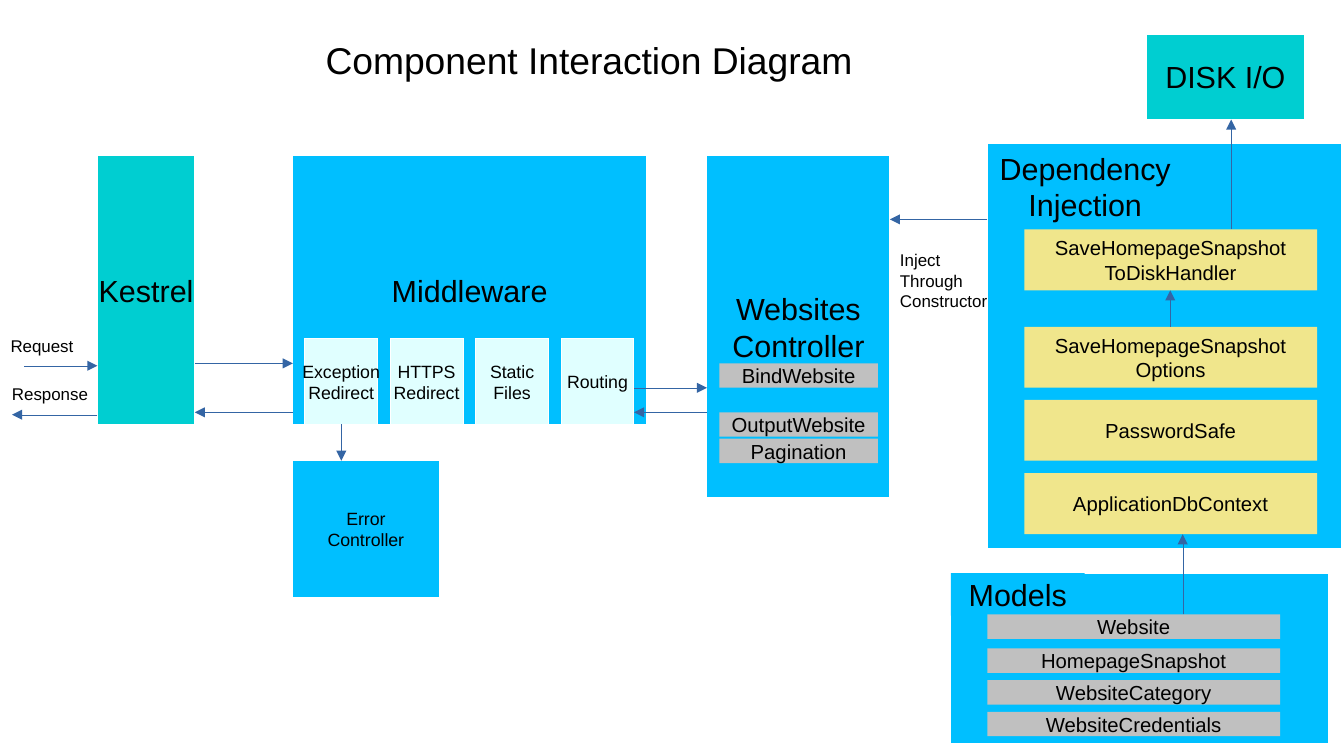
from dataclasses import dataclass

from lxml import etree
from pptx import Presentation
from pptx.dml.color import RGBColor
from pptx.enum.shapes import MSO_CONNECTOR, MSO_SHAPE
from pptx.enum.text import MSO_ANCHOR, MSO_AUTO_SIZE, PP_ALIGN
from pptx.oxml.ns import qn
from pptx.util import Cm, Pt

RECTANGLE = MSO_SHAPE.RECTANGLE
STRAIGHT = MSO_CONNECTOR.STRAIGHT
LEFT, CENTER = PP_ALIGN.LEFT, PP_ALIGN.CENTER
TOP, MIDDLE = MSO_ANCHOR.TOP, MSO_ANCHOR.MIDDLE
NO_FIT = MSO_AUTO_SIZE.NONE
TITLE_ONLY = 5


@dataclass(frozen=True)
class Theme:
    font: str = "Arial"
    text: str = "000000"
    outline: str = "FFFFFF"
    arrow: str = "3465A4"
    outside: str = "00CED1"
    component: str = "00BFFF"
    stage: str = "E0FFFF"
    service: str = "F0E68C"
    member: str = "C0C0C0"
    title_size: float = 22
    heading_size: float = 18
    item_size: float = 12
    stage_size: float = 10.5
    label_size: float = 10
    hairline: float = 0.01  # python-pptx drops a width of 0


THEME = Theme()

# Lengths are in centimetres; a box is (left, top, width, height).
SLIDE_SIZE = (28, 15.75)
TITLE = ("Component Interaction Diagram", (6.53, 0.64, 11.51, 1.12))

# Text, box, fill, type size
COMPONENTS = [
    ("Kestrel", (2.03, 3.25, 2.03, 5.59), THEME.outside, THEME.heading_size),
    ("Middleware", (6.1, 3.25, 7.37, 5.59), THEME.component, THEME.heading_size),
    ("Websites\nController", (14.73, 3.25, 3.81, 7.11), THEME.component, THEME.heading_size),
    ("Error\nController", (6.1, 9.6, 3.05, 2.84), THEME.component, THEME.stage_size),
    ("DISK I/O", (23.88, 0.71, 3.3, 1.78), THEME.outside, THEME.heading_size),
    ("", (20.57, 3, 7.37, 8.43), THEME.component, THEME.heading_size),
    ("", (19.81, 11.94, 7.87, 3.56), THEME.component, THEME.heading_size),
]
PANEL_HEADINGS = [
    ("Dependency\nInjection", (20.83, 3.25, 3.56, 1.27)),
    ("Models", (19.81, 11.94, 2.79, 0.89)),
]

STAGES = ["Exception\nRedirect", "HTTPS\nRedirect", "Static\nFiles", "Routing"]
STAGE_BOX, STAGE_PITCH = (6.35, 7.06, 1.52, 1.78), 1.78

# Left, width, height, fill, then each text with its top
STACKS = [
    (14.99, 3.3, 0.51, THEME.member, [
        ("BindWebsite", 7.57),
        ("OutputWebsite", 8.59),
        ("Pagination", 9.14),
    ]),
    (21.34, 6.1, 1.27, THEME.service, [
        ("SaveHomepageSnapshot\nToDiskHandler", 4.78),
        ("SaveHomepageSnapshot\nOptions", 6.81),
        ("PasswordSafe", 8.33),
        ("ApplicationDbContext", 9.86),
    ]),
    (20.57, 6.1, 0.51, THEME.member, [
        ("Website", 12.8),
        ("HomepageSnapshot", 13.51),
        ("WebsiteCategory", 14.17),
        ("WebsiteCredentials", 14.83),
    ]),
]

LABELS = [
    ("Request", (-0.03, 6.86, 1.9, 0.64)),
    ("Response", (0, 7.87, 2.15, 0.64)),
    ("Inject\nThrough\nConstructor", (18.5, 5.08, 2.4, 1.42)),
]

# From x, from y, to x, to y
ARROWS = [
    (0.51, 7.62, 2.03, 7.62),
    (2.03, 8.64, 0.25, 8.64),
    (4.06, 7.57, 6.1, 7.57),
    (6.1, 8.59, 4.06, 8.59),
    (7.11, 8.84, 7.11, 9.6),
    (13.21, 8.08, 14.73, 8.08),
    (14.73, 8.59, 13.21, 8.59),
    (20.57, 4.57, 18.54, 4.57),
    (24.38, 6.81, 24.38, 6.05),
    (25.65, 4.78, 25.65, 2.49),
    (24.64, 12.8, 24.64, 11.13),
]


def lengths(values):
    return [Cm(value) for value in values]


def write(shape, text, size, align=CENTER, anchor=MIDDLE):
    frame = shape.text_frame
    frame.text = text
    frame.word_wrap = False
    frame.auto_size = NO_FIT
    frame.vertical_anchor = anchor
    for para in frame.paragraphs:
        para.alignment = align
        para.font.name = THEME.font
        para.font.size = Pt(size)
        para.font.color.rgb = RGBColor.from_string(THEME.text)


def draw_hairline(line, color):
    line.color.rgb = RGBColor.from_string(color)
    line.width = Pt(THEME.hairline)


def add_box(page, text, box, fill, size, outlined=False):
    shape = page.shapes.add_shape(RECTANGLE, *lengths(box))
    shape.shadow.inherit = False
    shape.fill.solid()
    shape.fill.fore_color.rgb = RGBColor.from_string(fill)
    if outlined:
        draw_hairline(shape.line, THEME.outline)
    else:
        shape.line.fill.background()
    if text:
        write(shape, text, size)


def add_arrow(page, ends):
    arrow = page.shapes.add_connector(STRAIGHT, *lengths(ends))
    draw_hairline(arrow.line, THEME.arrow)
    properties = arrow._element.spPr
    etree.SubElement(properties.find(qn("a:ln")), qn("a:tailEnd"), type="triangle")
    etree.SubElement(properties, qn("a:effectLst"))


def add_title(page):
    text, box = TITLE
    title = page.shapes.title
    title.left, title.top, title.width, title.height = lengths(box)
    write(title, text, THEME.title_size, LEFT, TOP)


def main():
    deck = Presentation()
    deck.slide_width, deck.slide_height = lengths(SLIDE_SIZE)
    page = deck.slides.add_slide(deck.slide_layouts[TITLE_ONLY])
    add_title(page)

    for text, box, fill, size in COMPONENTS:
        add_box(page, text, box, fill, size, outlined=True)
    for text, box in PANEL_HEADINGS:
        add_box(page, text, box, THEME.component, THEME.heading_size)

    left, top, width, height = STAGE_BOX
    for index, text in enumerate(STAGES):
        box = (left + index * STAGE_PITCH, top, width, height)
        add_box(page, text, box, THEME.stage, THEME.stage_size, outlined=True)

    for left, width, height, fill, items in STACKS:
        for text, top in items:
            add_box(page, text, (left, top, width, height), fill, THEME.item_size)

    for text, box in LABELS:
        label = page.shapes.add_textbox(*lengths(box))
        write(label, text, THEME.label_size, LEFT, TOP)
    for ends in ARROWS:
        add_arrow(page, ends)

    deck.save("out.pptx")


if __name__ == "__main__":
    main()
